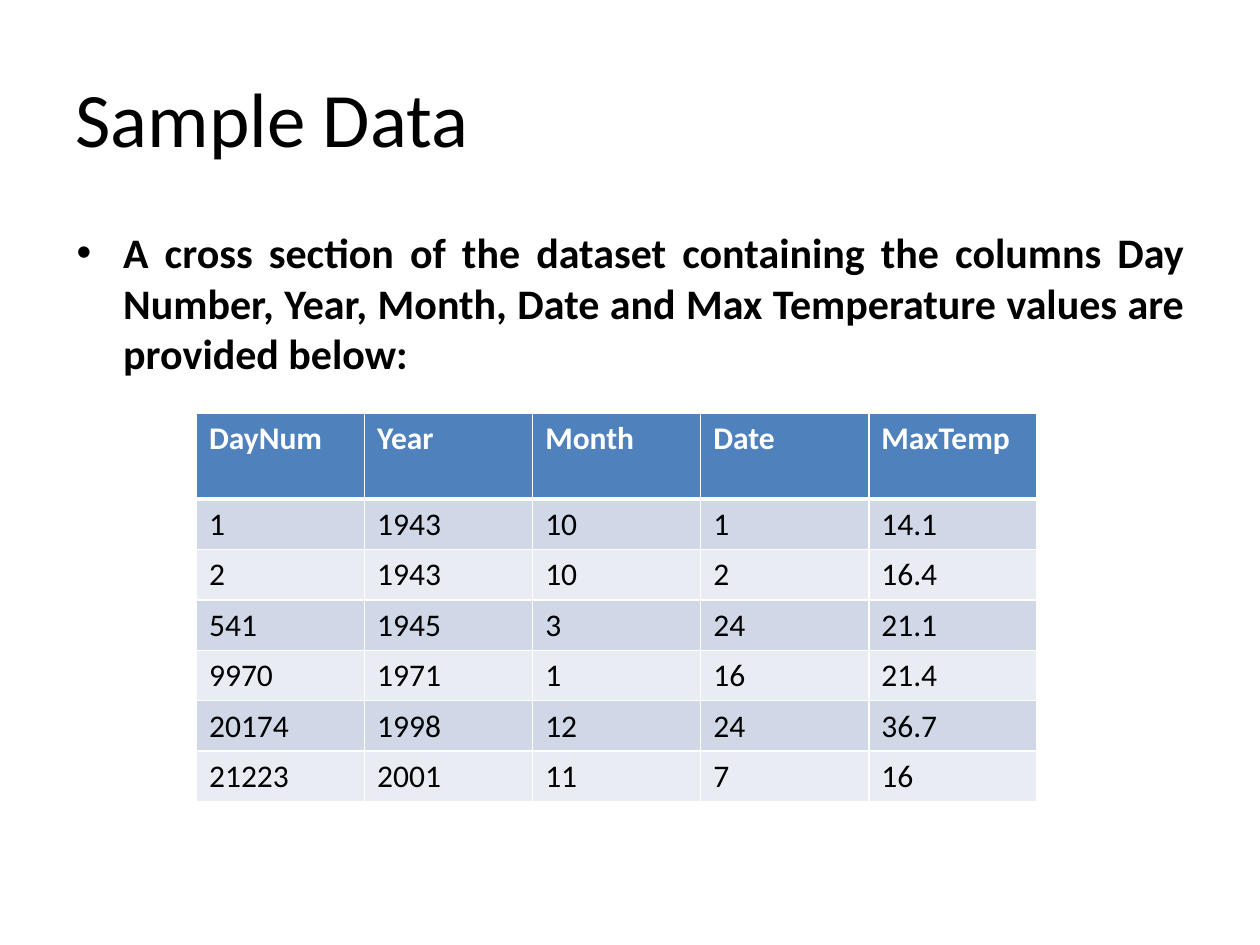
from lxml import etree
from pptx import Presentation
from pptx.dml.color import RGBColor
from pptx.enum.text import MSO_ANCHOR, PP_ALIGN
from pptx.oxml.ns import qn
from pptx.util import Inches, Pt

JUSTIFY = PP_ALIGN.JUSTIFY
TOP, MIDDLE = MSO_ANCHOR.TOP, MSO_ANCHOR.MIDDLE
COLORS = {
    "text": "000000",
    "white": "FFFFFF",
    "header": "4F81BD",
    "odd": "D0D8E7",
    "even": "E9ECF3",
}
ROWS = [
    ["DayNum", "Year", "Month", "Date", "MaxTemp"],
    ["1", "1943", "10", "1", "14.1"],
    ["2", "1943", "10", "2", "16.4"],
    ["541", "1945", "3", "24", "21.1"],
    ["9970", "1971", "1", "16", "21.4"],
    ["20174", "1998", "12", "24", "36.7"],
    ["21223", "2001", "11", "7", "16"],
]


def style_font(para, size, color, bold=False):
    para.font.name = "Calibri"
    para.font.size = Pt(size)
    para.font.bold = bold
    para.font.color.rgb = RGBColor.from_string(COLORS[color])


def add_text(page, top, height, text, anchor):
    """Add a full-width justified text box and return its paragraph."""
    box = page.shapes.add_textbox(Inches(0.5), Inches(top), Inches(9), Inches(height))
    frame = box.text_frame
    frame.word_wrap = True
    frame.vertical_anchor = anchor
    para = frame.paragraphs[0]
    para.text = text
    para.alignment = JUSTIFY
    return para


deck = Presentation()
deck.slide_width = Inches(10)
deck.slide_height = Inches(7.5)
page = deck.slides.add_slide(deck.slide_layouts[6])

title = add_text(page, 0.3, 1.25, "Sample Data", MIDDLE)
style_font(title, 44, "text")

intro = add_text(
    page, 1.75, 4.95,
    "A cross section of the dataset containing the columns Day Number, Year, "
    "Month, Date and Max Temperature values are provided below:",
    TOP,
)
props = intro._p.get_or_add_pPr()
props.set("marL", str(Inches(0.38)))
props.set("indent", str(Inches(-0.37)))
bullet_color = etree.SubElement(props, qn("a:buClr"))
etree.SubElement(bullet_color, qn("a:srgbClr"), val=COLORS["text"])
etree.SubElement(props, qn("a:buFont"), typeface="Arial")
etree.SubElement(props, qn("a:buChar"), char="•")
style_font(intro, 24, "text", bold=True)

table = page.shapes.add_table(
    len(ROWS), len(ROWS[0]), Inches(1.56), Inches(3.28), Inches(6.67), Inches(3.02)
).table
for column in table.columns:
    column.width = Inches(6.67 / len(ROWS[0]))

for r, values in enumerate(ROWS):
    is_header = r == 0
    table.rows[r].height = Inches(0.68 if is_header else 0.39)
    fill = "header" if is_header else "odd" if r % 2 else "even"
    # A thick rule separates the header from the data.
    widths = {
        "lnL": 0.96,
        "lnR": 0.96,
        "lnT": 3 if r == 1 else 0.96,
        "lnB": 3 if is_header else 0.96,
    }
    for c, value in enumerate(values):
        cell = table.cell(r, c)
        cell.text = value
        style_font(cell.text_frame.paragraphs[0], 18,
                   "white" if is_header else "text", bold=is_header)
        cell_props = cell._tc.get_or_add_tcPr()
        for side, width in widths.items():
            line = etree.SubElement(cell_props, qn(f"a:{side}"), w=str(Pt(width)))
            line_fill = etree.SubElement(line, qn("a:solidFill"))
            etree.SubElement(line_fill, qn("a:srgbClr"), val=COLORS["white"])
        cell.fill.solid()
        cell.fill.fore_color.rgb = RGBColor.from_string(COLORS[fill])

deck.save("out.pptx")
